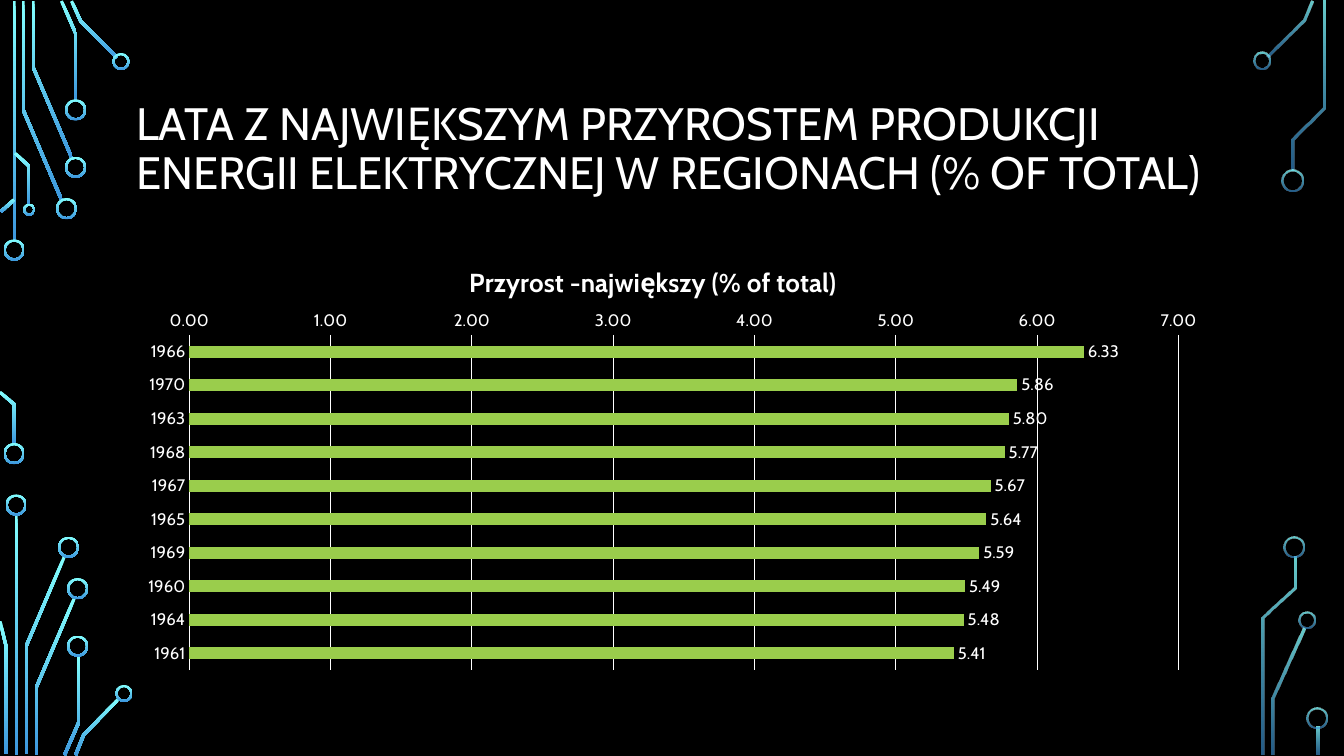
import math

import pptx
import pptx.chart.data
import pptx.dml.color
import pptx.enum.chart
import pptx.enum.dml
import pptx.enum.shapes
import pptx.enum.text
import pptx.oxml.ns
import pptx.util
from lxml import etree
from pptx.util import Inches

RGBColor = pptx.dml.color.RGBColor
BLACK = RGBColor(0x00, 0x00, 0x00)
WHITE = RGBColor(0xFF, 0xFF, 0xFF)
GREEN = RGBColor(0x9A, 0xCD, 0x4C)
CYAN = RGBColor(0x82, 0xFF, 0xFF)
BLUE = RGBColor(0x3D, 0x97, 0xDE)

SOLID = (100, 100)
FADED = (80, 60)
TRACE_WIDTH = 0.03
RING_WIDTH = 0.02

# Circuit decoration: each trace is a centre line, each ring a centre and size
LEFT_TRACES = [
    [(0.14, 0.01), (0.14, 2.4)],
    [(0.23, 0.01), (0.23, 1.09), (0.61, 1.98)],
    [(0.33, 0.01), (0.33, 0.67), (0.71, 1.56)],
    [(0.61, 0.01), (0.75, 0.33), (0.75, 1)],
    [(0.71, 0.01), (0.8, 0.21), (1.16, 0.57)],
    [(0.01, 2.1), (0.14, 1.98)],
    [(0, 3.89), (0.14, 4.01), (0.14, 4.41)],
    [(0.15, 1.52), (0.29, 1.65), (0.29, 2.03)],
    [(0.16, 5.1), (0.16, 7.49)],
    [(0.26, 7.48), (0.26, 6.41), (0.64, 5.52)],
    [(0.06, 7.48), (0.06, 6.41), (0, 6.16)],
    [(0.36, 7.49), (0.36, 6.82), (0.74, 5.93)],
    [(0.64, 7.49), (0.78, 7.17), (0.78, 6.5)],
    [(0.75, 7.49), (0.83, 7.29), (1.18, 6.93)],
]
LEFT_RINGS = [
    (0.14, 2.48, 0.21), (0.14, 4.5, 0.21), (0.66, 2.07, 0.21),
    (0.75, 1.66, 0.21), (0.75, 1.09, 0.21), (1.2, 0.61, 0.17),
    (0.29, 2.08, 0.12), (0.16, 5.01, 0.21), (0.68, 5.43, 0.21),
    (0.77, 5.84, 0.21), (0.77, 6.41, 0.21), (1.23, 6.88, 0.17),
]
RIGHT_TRACES = [
    [(12.57, 0.56), (12.93, 0.2), (13.01, 0.01)],
    [(12.63, 7.49), (12.63, 6.93), (12.93, 6.23)],
    [(12.82, 1.69), (12.82, 1.38), (13.13, 1.07), (13.13, 0.01)],
    [(12.53, 7.49), (12.53, 6.13), (12.84, 5.83), (12.84, 5.52)],
    [(13.07, 7.21), (13.07, 7.49)],
]
RIGHT_RINGS = [
    (12.52, 0.6, 0.17), (12.82, 1.79, 0.21), (12.96, 6.15, 0.17),
    (12.83, 5.43, 0.21), (13.06, 7.12, 0.21),
]

GROWTH = {
    "1966": 6.33, "1970": 5.86, "1963": 5.8, "1968": 5.77, "1967": 5.67,
    "1965": 5.64, "1969": 5.59, "1960": 5.49, "1964": 5.48, "1961": 5.41,
}


def band_outline(points, width):
    """Return the outline of a band of even width along a centre line."""
    angles = [math.atan2(y2 - y1, x2 - x1)
              for (x1, y1), (x2, y2) in zip(points, points[1:])]
    near, far = [], []
    for (x, y), before, after in zip(points, angles[:1] + angles, angles + angles[-1:]):
        turn = math.remainder(after - before, math.tau)
        reach = width / 2 / math.cos(turn / 2)
        normal = before + turn / 2 + math.pi / 2
        dx, dy = reach * math.cos(normal), reach * math.sin(normal)
        near.append((x + dx, y + dy))
        far.append((x - dx, y - dy))
    return near + far[::-1]


class SlideBuilder:
    font = "Cabin"

    def __init__(self, deck):
        self.page = deck.slides.add_slide(deck.slide_layouts[5])
        self.page.background.fill.solid()
        self.page.background.fill.fore_color.rgb = BLACK

    def style_font(self, font, size):
        font.name = self.font
        font.size = pptx.util.Pt(size)
        font.color.rgb = WHITE

    def glow(self, shape, opacities):
        shape.shadow.inherit = False
        shape.line.fill.background()
        shape.fill.gradient()
        shape.fill.gradient_angle = 270
        for stop, color, opacity in zip(shape.fill.gradient_stops, (CYAN, BLUE), opacities):
            stop.color.rgb = color
        if opacities != SOLID:
            colors = shape.fill._xPr.iter(pptx.oxml.ns.qn("a:srgbClr"))
            for color, opacity in zip(colors, opacities):
                etree.SubElement(color, pptx.oxml.ns.qn("a:alpha"), val=str(opacity * 1000))

    def trace(self, points, opacities):
        outline = [(Inches(x), Inches(y)) for x, y in band_outline(points, TRACE_WIDTH)]
        builder = self.page.shapes.build_freeform(*outline[0])
        builder.add_line_segments(outline[1:], close=True)
        self.glow(builder.convert_to_shape(), opacities)

    def ring(self, x, y, size, opacities):
        shape = self.page.shapes.add_shape(
            pptx.enum.shapes.MSO_SHAPE.DONUT,
            Inches(x - size / 2), Inches(y - size / 2), Inches(size), Inches(size))
        shape.adjustments[0] = RING_WIDTH / size
        self.glow(shape, opacities)

    def title(self, text, left, top, width, height):
        box = self.page.shapes.title
        box.left, box.top = Inches(left), Inches(top)
        box.width, box.height = Inches(width), Inches(height)
        frame = box.text_frame
        frame.text = text
        frame.word_wrap = True
        frame.auto_size = pptx.enum.text.MSO_AUTO_SIZE.NONE
        frame.vertical_anchor = pptx.enum.text.MSO_ANCHOR.MIDDLE
        para = frame.paragraphs[0]
        para.alignment = pptx.enum.text.PP_ALIGN.LEFT
        para.line_spacing = 0.9
        self.style_font(para.font, 32.4)

    def place(self, part, **settings):
        """Give a chart part a manual layout, in fractions of the chart."""
        qn = pptx.oxml.ns.qn
        layout = part.find(qn("c:layout"))
        if layout is None:
            layout = etree.Element(qn("c:layout"))
            part.insert(0, layout)
        manual = etree.SubElement(layout, qn("c:manualLayout"))
        for name, value in settings.items():
            etree.SubElement(manual, qn("c:" + name), val=str(value))

    def bar_chart(self, title, values, left, top, width, height):
        data = pptx.chart.data.CategoryChartData(number_format="0.00")
        data.categories = list(values)
        data.add_series("Series 1", list(values.values()))
        chart = self.page.shapes.add_chart(
            pptx.enum.chart.XL_CHART_TYPE.BAR_CLUSTERED,
            Inches(left), Inches(top), Inches(width), Inches(height), data).chart
        self.style_font(chart.font, 10)
        chart.has_legend = False

        # Chart title and plot area
        chart.has_title = True
        chart.chart_title.text_frame.text = title
        self.style_font(chart.chart_title.text_frame.paragraphs[0].font, 18.6)
        self.place(chart.chart_title._element, xMode="edge", yMode="edge", x=0.31, y=0.03)
        self.place(chart._chartSpace.chart.plotArea, layoutTarget="inner",
                   xMode="edge", yMode="edge", x=0.058, y=0.204, w=0.906, h=0.777)

        # Axes
        for axis in (chart.category_axis, chart.value_axis):
            axis.major_tick_mark = pptx.enum.chart.XL_TICK_MARK.NONE
            axis.minor_tick_mark = pptx.enum.chart.XL_TICK_MARK.NONE
            self.style_font(axis.tick_labels.font, 11.9)
        chart.category_axis.reverse_order = True
        scale = chart.value_axis
        scale.minimum_scale, scale.maximum_scale, scale.major_unit = 0, 7, 1
        scale.tick_labels.number_format = "0.00"
        scale.tick_labels.number_format_is_linked = False
        scale.format.line.fill.background()
        for line in (chart.category_axis.format.line, scale.major_gridlines.format.line):
            line.color.rgb = WHITE
            line.width = pptx.util.Pt(0.75)

        # Bars and their labels
        plot = chart.plots[0]
        plot.gap_width = 182
        plot.vary_by_categories = False
        bars = plot.series[0]
        bars.format.fill.solid()
        bars.format.fill.fore_color.rgb = GREEN
        labels = bars.data_labels
        labels.show_value = True
        labels.number_format = "0.00"
        labels.number_format_is_linked = False
        labels.position = pptx.enum.chart.XL_LABEL_POSITION.OUTSIDE_END
        self.style_font(labels.font, 11.9)


def main():
    deck = pptx.Presentation()
    deck.slide_width, deck.slide_height = Inches(13.33), Inches(7.5)
    slide = SlideBuilder(deck)

    # Circuit decoration on both edges
    for traces, rings, opacities in ((LEFT_TRACES, LEFT_RINGS, SOLID),
                                     (RIGHT_TRACES, RIGHT_RINGS, FADED)):
        for points in traces:
            slide.trace(points, opacities)
        for x, y, size in rings:
            slide.ring(x, y, size, opacities)

    # Title and chart
    slide.title("LATA Z NAJWIĘKSZYM PRZYROSTEM PRODUKCJI ENERGII ELEKTRYCZNEJ "
                "W REGIONACH (% OF TOTAL)", 1.25, 0.68, 10.83, 1.62)
    slide.bar_chart("Przyrost -największy (% of total)", GROWTH, 1.25, 2.45, 10.83, 4.28)
    deck.save("out.pptx")


if __name__ == "__main__":
    main()
